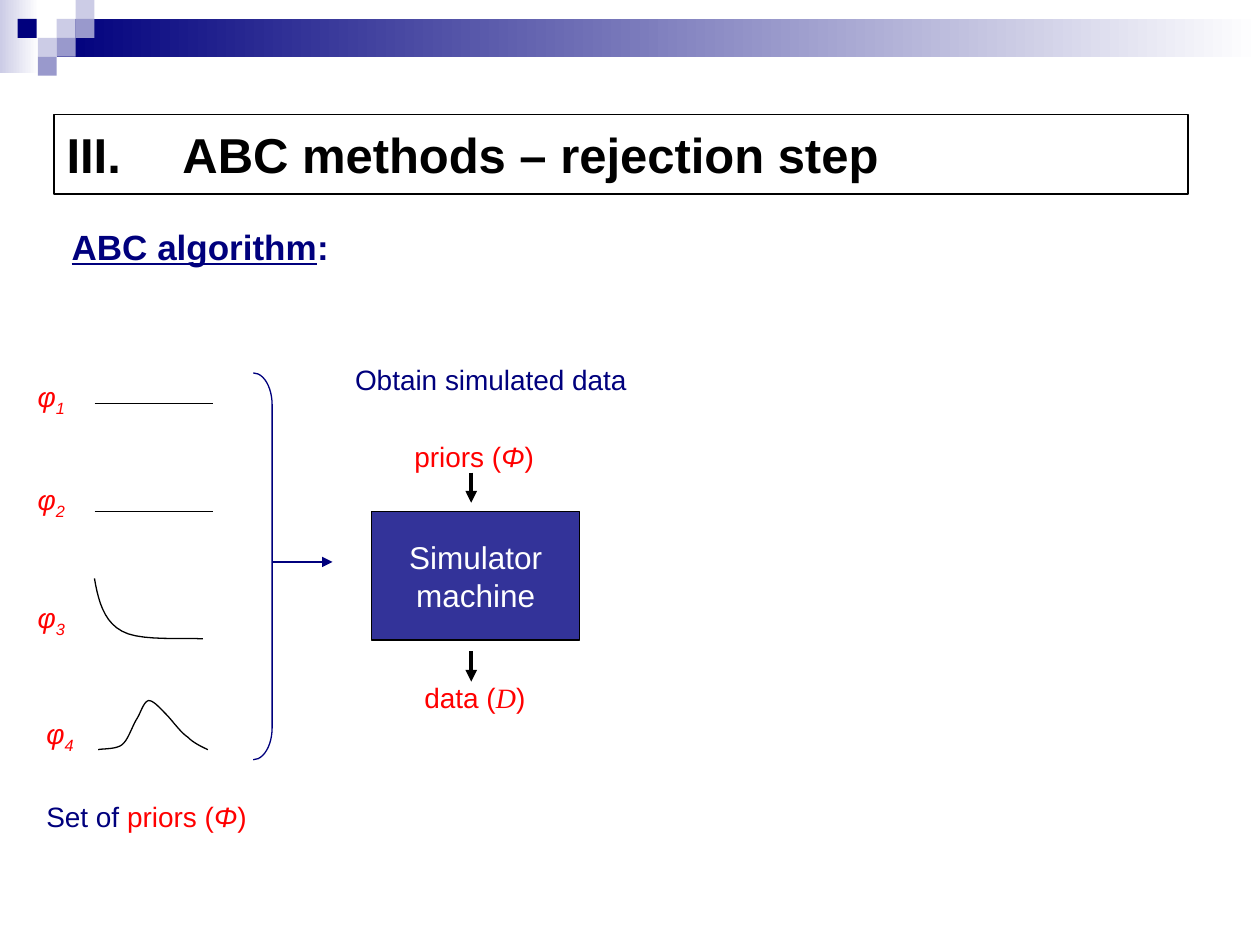
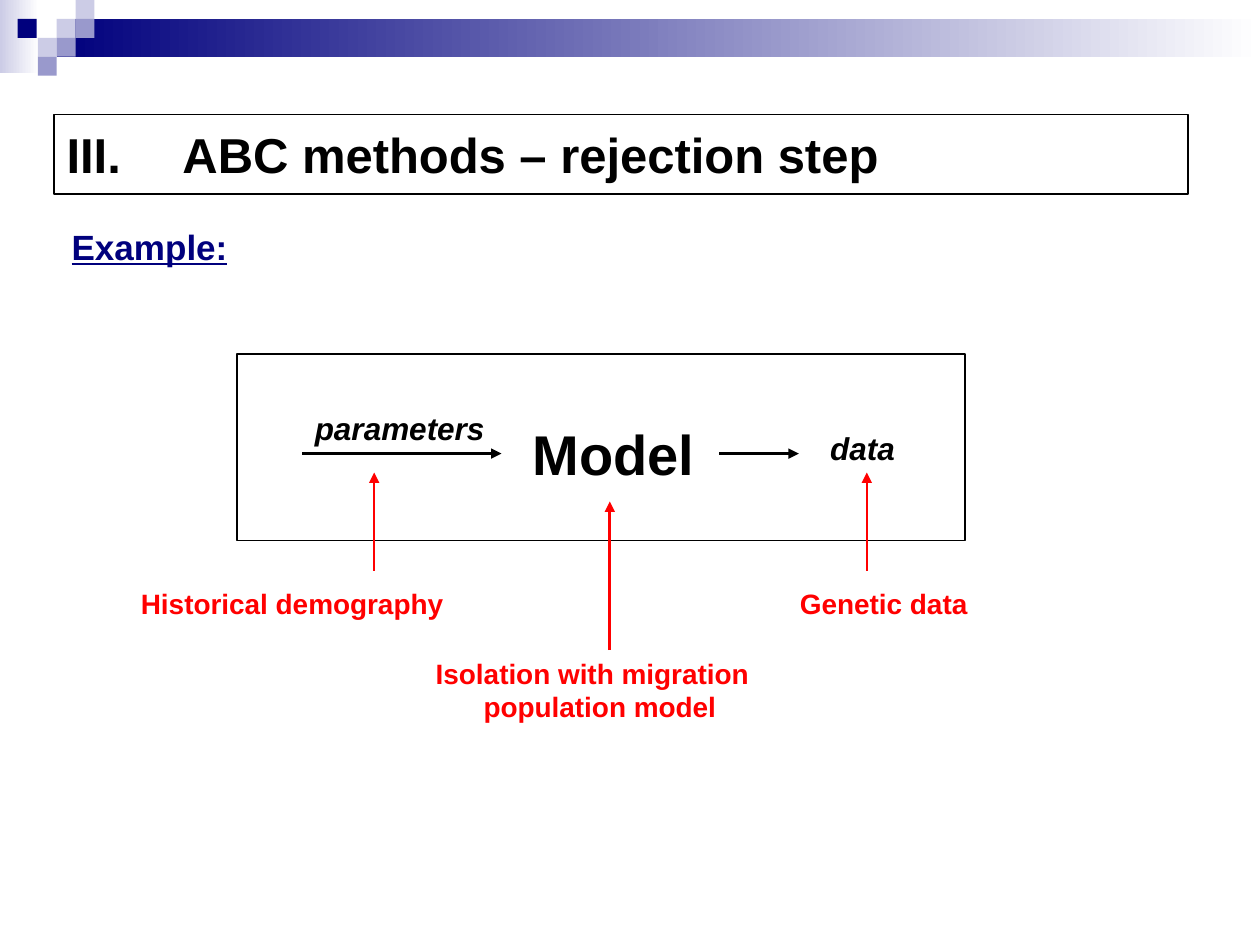
from lxml import etree
from pptx import Presentation
from pptx.dml.color import RGBColor
from pptx.enum.shapes import MSO_CONNECTOR, MSO_SHAPE
from pptx.enum.text import MSO_ANCHOR, PP_ALIGN
from pptx.oxml.ns import qn
from pptx.util import Inches, Pt

RECTANGLE = MSO_SHAPE.RECTANGLE
RIGHT_BRACKET = MSO_SHAPE.RIGHT_BRACKET
STRAIGHT = MSO_CONNECTOR.STRAIGHT
TOP, MIDDLE = MSO_ANCHOR.TOP, MSO_ANCHOR.MIDDLE
LEFT, CENTER = PP_ALIGN.LEFT, PP_ALIGN.CENTER

rgb = RGBColor.from_string
NAVY, INDIGO, LILAC, LAVENDER = "00007D", "333399", "9999CC", "CCCCE6"
BLACK, WHITE, RED = "000000", "FFFFFF", "FF0000"


def add_text(slide, box, lines, size, color, bold=False, italic=False, hanging=0, outline=None, weight=0.75):
    """Add a text box, or an outlined rectangle, with one paragraph per line.

    A line is a list of (text, style) runs; style is "", "italic", "serif",
    "underline" or "subscript".
    """
    if outline:
        shape = slide.shapes.add_shape(RECTANGLE, *map(Inches, box))
        shape.shadow.inherit = False
        shape.fill.background()
        shape.line.color.rgb = rgb(outline)
        shape.line.width = Pt(weight)
    else:
        shape = slide.shapes.add_textbox(*map(Inches, box))
    frame = shape.text_frame
    frame.word_wrap = True
    frame.vertical_anchor = TOP
    for index, runs in enumerate(lines):
        paragraph = frame.add_paragraph() if index else frame.paragraphs[0]
        paragraph.alignment = LEFT
        paragraph.font.name = "Arial"
        paragraph.font.size = Pt(size)
        paragraph.font.color.rgb = rgb(color)
        paragraph.font.bold = bold
        paragraph.font.italic = italic
        if hanging:
            properties = paragraph._p.get_or_add_pPr()
            properties.set("marL", str(Inches(hanging)))
            properties.set("indent", str(-Inches(hanging)))
        for text, style in runs:
            run = paragraph.add_run()
            run.text = text
            if style in ("italic", "serif"):
                run.font.italic = True
            if style == "serif":
                run.font.name = "Times New Roman"
            if style == "underline":
                run.font.underline = True
            if style == "subscript":
                run._r.get_or_add_rPr().set("baseline", "-25000")
    return shape


def add_line(slide, start, end, color, width=0.75, arrow=True):
    line = slide.shapes.add_connector(STRAIGHT, *map(Inches, start + end))
    line.line.color.rgb = rgb(color)
    line.line.width = Pt(width)
    if arrow:
        etree.SubElement(line.line._get_or_add_ln(), qn("a:tailEnd"), type="triangle")
    etree.SubElement(line._element.spPr, qn("a:effectLst"))


presentation = Presentation()
presentation.slide_width = Inches(10)
presentation.slide_height = Inches(7.5)

# Shared header: gradient bands, mosaic squares, numbered title and heading
bands = [((0, 0, 0.31, 0.58), LAVENDER), ((0.45, 0.15, 9.55, 0.3), NAVY)]
SQUARE = 0.15
squares = [
    (0.45, 0.15, LAVENDER), (0.6, 0, LAVENDER), (0.6, 0.15, LILAC), (0.3, 0.3, LAVENDER),
    (0.14, 0.15, NAVY), (0.45, 0.3, LILAC), (0.3, 0.45, LILAC),
]
headings = [
    [("ABC algorithm", "underline"), (":", "")],
    [("Example:", "underline")],
]
for heading in headings:
    slide = presentation.slides.add_slide(presentation.slide_layouts[6])
    for box, color in bands:
        band = slide.shapes.add_shape(RECTANGLE, *map(Inches, box))
        band.shadow.inherit = False
        band.line.fill.background()
        band.fill.gradient()
        band.fill.gradient_angle = 0
        for stop, stop_color in zip(band.fill.gradient_stops, (color, WHITE)):
            stop.color.rgb = rgb(stop_color)
    for left, top, color in squares:
        square = slide.shapes.add_shape(RECTANGLE, *map(Inches, (left, top, SQUARE, SQUARE)))
        square.shadow.inherit = False
        square.line.fill.background()
        square.fill.solid()
        square.fill.fore_color.rgb = rgb(color)

    title = add_text(slide, (0.43, 0.91, 9, 0.63), [[("ABC methods – rejection step", "")]],
                     28, BLACK, bold=True, hanging=0.92, outline=BLACK)
    title.text_frame.vertical_anchor = MIDDLE
    numbering = etree.Element(qn("a:buAutoNum"), type="romanUcPeriod", startAt="3")
    title_properties = title.text_frame.paragraphs[0]._p.get_or_add_pPr()
    title_properties.find(qn("a:defRPr")).addprevious(numbering)
    heading_box = add_text(slide, (0.47, 1.64, 8.11, 0.63), [heading], 20, NAVY, bold=True)
    heading_box.text_frame.vertical_anchor = MIDDLE

algorithm_slide, example_slide = presentation.slides

# Slide 1: priors feed the simulator machine
for number, (left, top) in enumerate([(0.2, 2.96), (0.2, 3.78), (0.2, 4.72), (0.27, 5.64)], start=1):
    add_text(algorithm_slide, (left, top, 0.71, 0.41), [[("φ", ""), (str(number), "subscript")]],
             16, RED, italic=True)

for uniform_top in (3.2, 4.06):
    add_line(algorithm_slide, (0.75, uniform_top), (1.69, uniform_top), BLACK, arrow=False)

# Each curve: a start point, then Bézier segments (two controls and an end)
exponential_prior = [(0.75, 4.59),
                     ((0.78, 4.76), (0.82, 4.93), (0.97, 5.01)),
                     ((1.11, 5.09), (1.47, 5.06), (1.61, 5.07))]
bell_prior = [(0.78, 5.95),
              ((0.81, 5.94), (0.92, 5.95), (0.97, 5.91)),
              ((1.02, 5.87), (1.05, 5.76), (1.09, 5.7)),
              ((1.12, 5.65), (1.14, 5.57), (1.18, 5.56)),
              ((1.22, 5.56), (1.27, 5.62), (1.32, 5.67)),
              ((1.37, 5.72), (1.43, 5.81), (1.49, 5.85)),
              ((1.54, 5.9), (1.61, 5.93), (1.65, 5.95))]
STEPS = 10
for start, *segments in (exponential_prior, bell_prior):
    # The builder rounds to whole units, so points are given in EMU
    builder = algorithm_slide.shapes.build_freeform(*map(Inches, start))
    points = []
    for first, second, end in segments:
        for step in range(1, STEPS + 1):
            t = step / STEPS
            points.append(tuple(
                Inches((1 - t) ** 3 * a + 3 * (1 - t) ** 2 * t * b + 3 * (1 - t) * t ** 2 * c + t ** 3 * d)
                for a, b, c, d in zip(start, first, second, end)))
        start = end
    builder.add_line_segments(points, close=False)
    curve = builder.convert_to_shape()
    curve.shadow.inherit = False
    curve.fill.background()
    curve.line.color.rgb = rgb(BLACK)
    curve.line.width = Pt(0.75)

bracket = algorithm_slide.shapes.add_shape(RIGHT_BRACKET, *map(Inches, (2.01, 2.96, 0.15, 3.07)))
bracket.adjustments[0] = 1.7
bracket.shadow.inherit = False
bracket.fill.background()
bracket.line.color.rgb = rgb(NAVY)
bracket.line.width = Pt(0.75)
add_line(algorithm_slide, (2.16, 4.46), (2.64, 4.46), NAVY)

priors_runs = [("priors (", ""), ("Φ", "italic"), (")", "")]
set_label = add_text(algorithm_slide, (0.27, 6.3, 1.97, 0.37),
                     [[("Set of ", "")] + priors_runs], 16, RED)
set_label.text_frame.paragraphs[0].runs[0].font.color.rgb = rgb(NAVY)
add_text(algorithm_slide, (2.72, 2.83, 2.76, 0.37), [[("Obtain simulated data", "")]], 16, NAVY)
add_text(algorithm_slide, (3.19, 3.44, 1.18, 0.37), [priors_runs], 16, RED)
add_text(algorithm_slide, (3.27, 5.35, 1.18, 0.37),
         [[("data (", ""), ("D", "serif"), (")", "")]], 16, RED)

simulator = add_text(algorithm_slide, (2.95, 4.06, 1.65, 1.02),
                     [[("Simulator", "")], [("machine", "")]], 18, WHITE, outline=BLACK)
simulator.fill.solid()
simulator.fill.fore_color.rgb = rgb(INDIGO)
simulator.text_frame.vertical_anchor = MIDDLE
for paragraph in simulator.text_frame.paragraphs:
    paragraph.alignment = CENTER
for arrow_top in (3.75, 5.17):
    add_line(algorithm_slide, (3.74, arrow_top), (3.74, arrow_top + 0.24), BLACK, 2.25)

# Slide 2: parameters, model and data with their meaning in the example
add_text(example_slide, (4.13, 3.28, 1.57, 0.64), [[("Model", "")]], 32, BLACK, bold=True)
add_text(example_slide, (2.4, 3.2, 1.65, 0.4), [[("parameters", "")]], 18, BLACK, bold=True, italic=True)
add_text(example_slide, (6.49, 3.36, 0.79, 0.4), [[("data", "")]], 18, BLACK,
         bold=True, italic=True, outline=WHITE, weight=1.5)
for arrow_left, arrow_right in [(2.4, 3.98), (5.71, 6.34)]:
    add_line(example_slide, (arrow_left, 3.6), (arrow_right, 3.6), BLACK, 1.5)

model_frame = example_slide.shapes.add_shape(RECTANGLE, *map(Inches, (1.88, 2.81, 5.78, 1.48)))
model_frame.shadow.inherit = False
model_frame.fill.background()
model_frame.line.color.rgb = rgb(BLACK)
model_frame.line.width = Pt(0.75)

explanations = [
    ("Historical demography", (1.02, 4.61, 2.66, 0.37), (2.97, 4.53), (2.97, 3.75)),
    ("Isolation with migration population model", (3.36, 5.16, 2.97, 0.64), (4.84, 5.16), (4.84, 3.98)),
    ("Genetic data", (6.25, 4.61, 1.72, 0.37), (6.88, 4.53), (6.88, 3.75)),
]
for text, box, arrow_start, arrow_end in explanations:
    add_text(example_slide, box, [[(text, "")]], 16, RED, bold=True, hanging=0.38)
    add_line(example_slide, arrow_start, arrow_end, RED, 1.5)

presentation.save("out.pptx")
